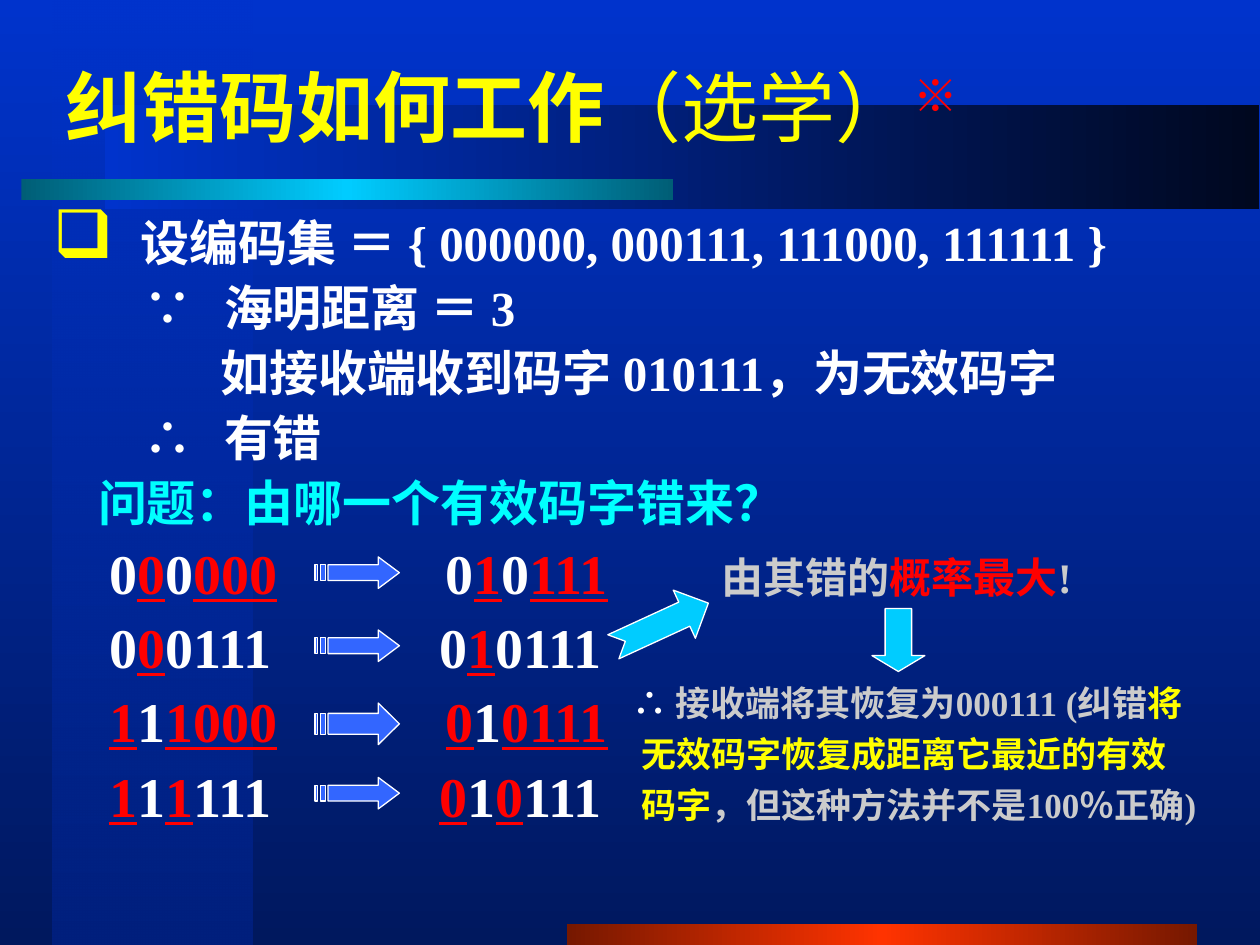
from lxml import etree
from pptx import Presentation
from pptx.dml.color import RGBColor
from pptx.enum import lang, shapes, text
from pptx.oxml.ns import qn
from pptx.util import Inches, Pt

FONT = "Times New Roman"
WHITE = RGBColor(0xFF, 0xFF, 0xFF)
YELLOW = RGBColor(0xFF, 0xFF, 0x00)
RED = RGBColor(0xFF, 0x00, 0x00)
AQUA = RGBColor(0x00, 0xFF, 0xFF)
SILVER = RGBColor(0xCB, 0xCB, 0xCB)
BLUE = RGBColor(0x33, 0x66, 0xFF)
SKY = RGBColor(0x00, 0xCC, 0xFF)
ROYAL = RGBColor(0x00, 0x33, 0xCC)
NAVY = RGBColor(0x00, 0x18, 0x5E)
COLUMN_NAVY = RGBColor(0x00, 0x20, 0x7E)
MIDNIGHT = RGBColor(0x00, 0x08, 0x1F)
TEAL = RGBColor(0x00, 0x5E, 0x76)
MAROON = RGBColor(0x76, 0x18, 0x00)
ORANGE = RGBColor(0xFF, 0x33, 0x00)


def fill_gradient(fill, colors, angle=0, first_alpha=None):
    """Spread the colours evenly along a linear gradient."""
    fill.gradient()
    fill.gradient_angle = angle
    stops = fill._xPr.find(".//" + qn("a:gsLst"))
    for stop in list(stops):
        stops.remove(stop)
    for index, color in enumerate(colors):
        position = 100000 * index // (len(colors) - 1)
        stop = etree.SubElement(stops, qn("a:gs"), pos=str(position))
        value = etree.SubElement(stop, qn("a:srgbClr"), val=str(color))
        if index == 0 and first_alpha:
            etree.SubElement(value, qn("a:alpha"), val=str(first_alpha * 1000))


def add_backdrop(page):
    fill_gradient(page.background.fill, [ROYAL, NAVY], 270)
    bands = [
        ((0.42, 0, 1.58, 7.5), [ROYAL, COLUMN_NAVY], 270, 50),
        ((4.5, 7.33, 5, 0.17), [MAROON, ORANGE, MAROON], 0, None),
        ((0.83, 0.83, 9.16, 0.83), [ROYAL, MIDNIGHT], 0, None),
        ((0.17, 1.42, 5.17, 0.17), [TEAL, SKY, TEAL], 0, None),
    ]
    for place, colors, angle, alpha in bands:
        band = page.shapes.add_shape(shapes.MSO_SHAPE.RECTANGLE, *map(Inches, place))
        band.shadow.inherit = False
        band.line.fill.background()
        fill_gradient(band.fill, colors, angle, alpha)


def add_spans(para, spans, size):
    """Fill a paragraph with (text, colour) spans in one bold font."""
    para.font.name, para.font.size, para.font.bold = FONT, Pt(size), True
    for words, color in spans:
        span = para.add_run()
        span.text = words
        span.font.color.rgb = color
        span.font.language_id = lang.MSO_LANGUAGE_ID.SIMPLIFIED_CHINESE


def set_tabs(para, positions):
    tabs = etree.SubElement(para._p.get_or_add_pPr(), qn("a:tabLst"))
    for position in positions:
        etree.SubElement(tabs, qn("a:tab"), pos=str(Inches(position)), algn="l")


def set_indent(para, margin, first=0):
    properties = para._p.get_or_add_pPr()
    properties.set("marL", str(Inches(margin)))
    properties.set("indent", str(Inches(first)))


def set_bullet(para, mark, color, percent):
    properties = para._p.get_or_add_pPr()
    tint = etree.SubElement(properties, qn("a:buClr"))
    etree.SubElement(tint, qn("a:srgbClr"), val=str(color))
    etree.SubElement(properties, qn("a:buSzPct"), val=str(percent * 1000))
    etree.SubElement(properties, qn("a:buChar"), char=mark)


def add_paragraph(frame, space):
    """Return the next paragraph; the first one has no space before."""
    if not frame.paragraphs[0].runs:
        return frame.paragraphs[0]
    para = frame.add_paragraph()
    para.space_before = Pt(space)
    return para


def add_text_frame(page, place, wrap=True):
    frame = page.shapes.add_textbox(*map(Inches, place)).text_frame
    frame.word_wrap = wrap
    return frame


def place_title(page, place):
    title = page.shapes.title
    title.left, title.top, title.width, title.height = map(Inches, place)
    frame = title.text_frame
    frame.auto_size = text.MSO_AUTO_SIZE.NONE
    frame.vertical_anchor = text.MSO_ANCHOR.MIDDLE
    para = frame.paragraphs[0]
    para.alignment = text.PP_ALIGN.LEFT
    add_spans(para, [("纠错码如何工作", YELLOW), ("（选学）", YELLOW), ("※", RED)], 44)
    para.runs[1].font.bold = False
    para.runs[2]._r.get_or_add_rPr().set("baseline", "30000")
    page.shapes._spTree.append(title._element)  # in front of the backdrop


def add_code_row(frame, codes, tabs):
    """Add a row of code words; digits between asterisks are wrong bits."""
    para = add_paragraph(frame, 4)
    set_tabs(para, tabs)
    parts = list(enumerate(codes.split("*")))
    spans = [(part, RED if index % 2 else WHITE) for index, part in parts if part]
    add_spans(para, spans, 32)
    for span in para.runs:
        span.font.underline = span.font.color.rgb == RED


def add_argument(page, place):
    frame = add_text_frame(page, place)
    para = add_paragraph(frame, 3.5)
    set_indent(para, 0.69, -0.69)
    set_bullet(para, "❑", YELLOW, 137)
    add_spans(para, [("设编码集 ＝ { 000000, 000111, 111000, 111111 }", WHITE)], 28)
    steps = [
        ("\t∵\t海明距离 ＝ 3", WHITE, [0.71, 1.35]),
        ("\t如接收端收到码字 010111，为无效码字", WHITE, [1.32]),
        ("\t∴\t有错", WHITE, [0.71, 1.35]),
        ("\t问题：由哪一个有效码字错来？", AQUA, [0.35]),
    ]
    for words, color, tabs in steps:
        para = add_paragraph(frame, 3.5)
        set_tabs(para, tabs)
        add_spans(para, [(words, color)], 28)
    rows = [
        ("\t0*0*0*000*\t0*1*0*111*", 3.11),
        ("\t0*0*0111\t0*1*0111", 3.06),
        ("\t*1*1*1000*\t*0*1*0111*", 3.11),
        ("\t*1*1*1*111\t*0*1*0*111", 3.06),
    ]
    for codes, second_tab in rows:
        add_code_row(frame, codes, [0.44, second_tab])


def finish_arrow(arrow, color):
    arrow.shadow.inherit = False
    arrow.fill.solid()
    arrow.fill.fore_color.rgb = color
    arrow.line.color.rgb = WHITE
    arrow.line.width = Pt(0.75)


def add_striped_arrow(page, left, top, width, height):
    """Draw an arrow with two stripes on a grid of 32 by 4 units."""
    stripes = [[(a, 1), (a, 3), (b, 3), (b, 1)] for a, b in [(2, 4), (0, 1)]]
    head = [(24, 0), (24, 1), (5, 1), (5, 3), (24, 3), (24, 4), (32, 2)]
    scale = (Inches(width) / 32, Inches(height) / 4)
    builder = page.shapes.build_freeform(*head[0], scale=scale)
    builder.add_line_segments(head[1:])
    for stripe in stripes:
        builder.move_to(*stripe[0])
        builder.add_line_segments(stripe[1:])
    finish_arrow(builder.convert_to_shape(Inches(left), Inches(top)), BLUE)


def add_answer(page, claim_place, result_place):
    kinds = shapes.MSO_SHAPE
    rising = page.shapes.add_shape(
        kinds.NOTCHED_RIGHT_ARROW, *map(Inches, (4.83, 4.75, 0.83, 0.42)))
    rising.rotation = 335.3
    down = page.shapes.add_shape(
        kinds.DOWN_ARROW, *map(Inches, (6.92, 4.83, 0.42, 0.5)))
    down.adjustments[1] = 0.3
    for arrow in (rising, down):
        finish_arrow(arrow, SKY)

    result = add_text_frame(page, result_place)
    lines = [
        (0, [("∴ ", WHITE), ("接收端将其恢复为000111 (纠错", SILVER), ("将", YELLOW)]),
        (0.07, [("无效码字恢复成距离它最近的有效", YELLOW)]),
        (0.07, [("码字", YELLOW), ("，但这种方法并不是100％正确)", SILVER)]),
    ]
    for margin, spans in lines:
        para = add_paragraph(result, 2.5)
        set_indent(para, margin)
        para.line_spacing = 1.1
        add_spans(para, spans, 20)

    claim = add_text_frame(page, claim_place, wrap=False)
    spans = [("由其错的", SILVER), ("概率最大", RED), ("!", SILVER)]
    add_spans(claim.paragraphs[0], spans, 24)


def main():
    deck = Presentation()
    deck.slide_width, deck.slide_height = Inches(10), Inches(7.5)
    page = deck.slides.add_slide(deck.slide_layouts[5])
    add_backdrop(page)
    place_title(page, (0.42, 0.42, 8.5, 0.83))
    add_argument(page, (0.33, 1.64, 9.33, 5.02))
    for top, height in [(4.42, 0.25), (5, 0.25), (5.58, 0.33), (6.17, 0.25)]:
        add_striped_arrow(page, 2.5, top, 0.67, height)
    add_answer(page, (5.63, 4.33, 3.06, 0.5), (4.92, 5.33, 4.92, 1.27))
    deck.save("out.pptx")


if __name__ == "__main__":
    main()
